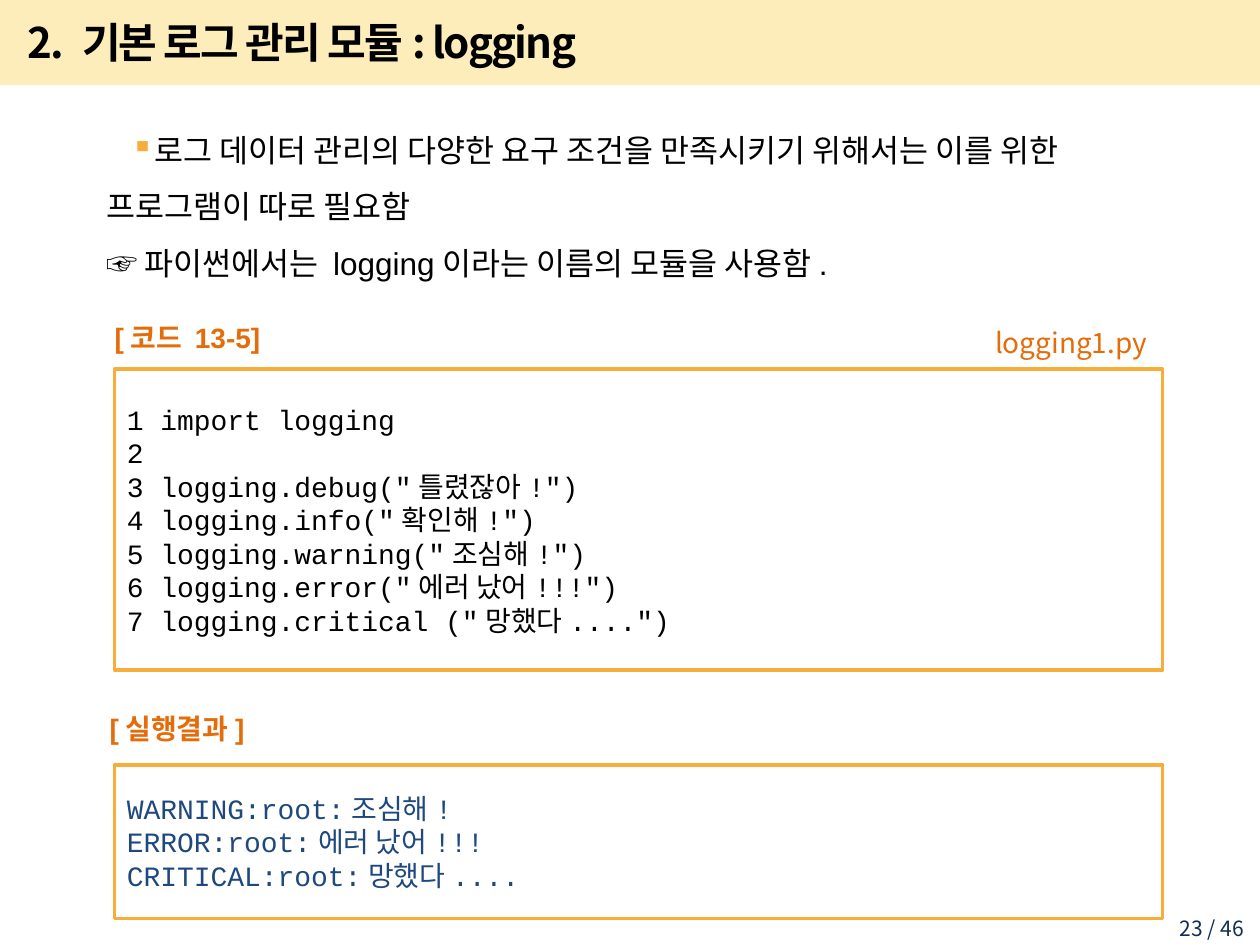
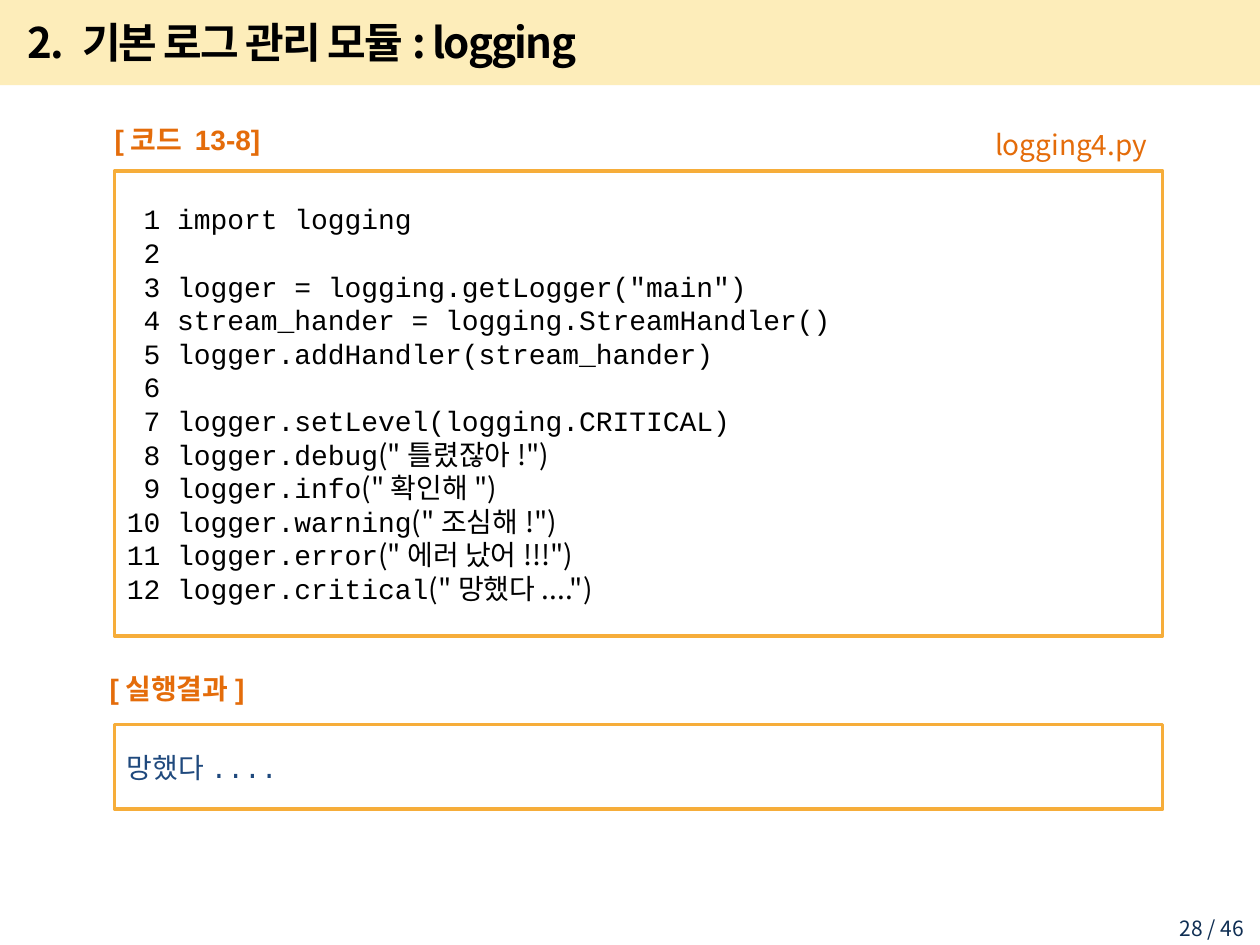
from lxml import etree
from pptx import Presentation
from pptx.dml.color import RGBColor
from pptx.enum.shapes import MSO_SHAPE
from pptx.enum.text import MSO_ANCHOR, MSO_AUTO_SIZE, PP_ALIGN
from pptx.oxml.ns import qn
from pptx.util import Cm, Pt

RECT = MSO_SHAPE.RECTANGLE
TOP, MIDDLE = MSO_ANCHOR.TOP, MSO_ANCHOR.MIDDLE
LEFT, RIGHT = PP_ALIGN.LEFT, PP_ALIGN.RIGHT
NO_FIT = MSO_AUTO_SIZE.NONE

SANS, ARIAL, MONO = "Noto Sans CJK KR", "Arial", "Courier New"
BLACK, BLUE, NAVY = "000000", "1F497D", "0F2E53"
ORANGE, AMBER, BAND = "E46C0A", "F6AD3A", "FABE00"

TITLE = {"name": SANS, "size": Pt(24), "bold": True, "color": BLACK}
BODY = {"name": ARIAL, "size": Pt(18), "color": BLACK}
LABEL = {"name": ARIAL, "size": Pt(16), "bold": True, "color": ORANGE}
FILE = {"name": SANS, "size": Pt(16), "color": ORANGE}
CODE = {"name": MONO, "size": Pt(16), "color": BLACK}
RESULT = {"name": MONO, "size": Pt(16), "color": BLUE}
PAGE = {"name": SANS, "size": Pt(12), "color": NAVY}

BOX_LEFT, BOX_WIDTH = 2.31, 21.13
HEADING = "2. 기본 로그 관리 모듈: logging"
PAGES = 46


def rgb(color):
    """Turn a hex string into a colour."""
    return RGBColor.from_string(color)


def add_xml(parent, tag, **attrs):
    """Append a drawing element with the given attributes."""
    return etree.SubElement(parent, qn(tag), attrs)


def numbered(lines):
    """Put right-aligned line numbers in front of code lines."""
    width = len(str(len(lines)))
    result = []
    for n, line in enumerate(lines, 1):
        code, *text = line if isinstance(line, tuple) else (line,)
        result.append((f"{n:>{width}} {code}".rstrip(), *text))
    return result


class Deck:
    """Holds the presentation, the current slide and the shared style."""

    def __init__(self):
        """Start an empty 4:3 presentation."""
        self.prs = Presentation()
        self.prs.slide_width, self.prs.slide_height = Cm(25.4), Cm(19.05)
        self.s = None

    def add_run(self, p, text, style):
        """Add a formatted run to a paragraph."""
        r = p.add_run()
        r.text = text
        for key, value in style.items():
            if key == "color":
                r.font.color.rgb = rgb(value)
            else:
                setattr(r.font, key, value)
        add_xml(r.font._element, "a:ea", typeface=SANS)
        return r

    def fill_text(self, sp, lines, style, align=LEFT, anchor=MIDDLE):
        """Fill a shape with lines; later runs of a line use the sans font."""
        tf = sp.text_frame
        frame = {"word_wrap": True, "auto_size": NO_FIT, "vertical_anchor": anchor}
        for key, value in frame.items():
            setattr(tf, key, value)
        for i, line in enumerate(lines):
            p = tf.add_paragraph() if i else tf.paragraphs[0]
            p.alignment = align
            first, *rest = line if isinstance(line, tuple) else (line,)
            self.add_run(p, first, style)
            for text in rest:
                self.add_run(p, text, {**style, "name": SANS})
        return tf

    def text(self, x, y, w, h, lines, style, **place):
        """Add a text box."""
        sp = self.s.shapes.add_textbox(Cm(x), Cm(y), Cm(w), Cm(h))
        return self.fill_text(sp, lines, style, **place)

    def rect(self, x, y, w, h):
        """Add a plain rectangle."""
        sp = self.s.shapes.add_shape(RECT, Cm(x), Cm(y), Cm(w), Cm(h))
        sp.shadow.inherit = False
        return sp

    def slide(self, number):
        """Start a slide with band, title and page number."""
        self.s = self.prs.slides.add_slide(self.prs.slide_layouts[5])
        title = self.s.shapes.title
        title.left, title.top, title.width, title.height = Cm(0.3), Cm(0.18), Cm(21.62), Cm(1.32)
        self.fill_text(title, [HEADING], TITLE)
        r = title.text_frame.paragraphs[0].runs[0]
        r.font._element.set("spc", "-100")

        band = self.rect(0, 0, 25.4, 1.72)
        band.fill.solid()
        band.fill.fore_color.rgb = rgb(BAND)
        band.line.fill.background()
        add_xml(band._element.spPr.find(".//" + qn("a:srgbClr")), "a:alpha", val="27000")
        title._element.addprevious(band._element)
        self.text(22.99, 18.34, 2.34, 0.58, [f"{number} / {PAGES}"], PAGE, align=RIGHT, anchor=TOP)

    def intro(self, lines):
        """Add the bulleted introduction with its broken lines."""
        tf = self.text(0.89, 2.13, 23.24, 4, lines[:1], BODY, anchor=TOP)
        p = tf.paragraphs[0]
        for line in lines[1:]:
            p.add_line_break()
            self.add_run(p, line, BODY)
        pPr = p._p.get_or_add_pPr()
        pPr.set("marL", str(Cm(1)))
        pPr.set("indent", str(Cm(0.5)))
        add_xml(add_xml(pPr, "a:buClr"), "a:srgbClr", val=AMBER)
        add_xml(pPr, "a:buChar", char="▪")
        p.line_spacing = 1.5

    def frame(self, y, h, lines, style):
        """Add an outlined box of monospaced lines."""
        sp = self.rect(BOX_LEFT, y, BOX_WIDTH, h)
        sp.fill.background()
        sp.line.color.rgb = rgb(AMBER)
        sp.line.width = Pt(2)
        self.fill_text(sp, lines, style)

    def listing(self, y, h, label, file, lines):
        """Add a code box with its label and file name."""
        self.frame(y, h, numbered(lines), CODE)
        self.text(BOX_LEFT - 0.25, y - 1.27, 4, 1.27, [label], LABEL)
        self.text(18.3, y - 1, 5.07, 0.94, [file], FILE, align=RIGHT, anchor=TOP)

    def output(self, y, h, lines):
        """Add a result box with its label."""
        self.frame(y, h, lines, RESULT)
        self.text(BOX_LEFT - 0.35, y - 1.43, 4, 1.4, ["[실행결과]"], LABEL)


def main():
    """Build both slides and save them."""
    deck = Deck()

    deck.slide(23)
    deck.intro([
        "로그 데이터 관리의 다양한 요구 조건을 만족시키기 위해서는 이를 위한 프로그램이 따로 필요함",
        "☞ 파이썬에서는 logging이라는 이름의 모듈을 사용함.",
    ])
    deck.listing(7.44, 6.07, "[코드 13-5]", "logging1.py", [
        "import logging",
        "",
        'logging.debug("틀렸잖아!")',
        'logging.info("확인해!")',
        'logging.warning("조심해!")',
        'logging.error("에러 났어!!!")',
        'logging.critical ("망했다....")',
    ])
    deck.output(15.42, 3.1, [
        "WARNING:root:조심해!",
        "ERROR:root:에러 났어!!!",
        "CRITICAL:root:망했다....",
    ])

    deck.slide(28)
    deck.listing(3.45, 9.37, "[코드 13-8]", "logging4.py", [
        "import logging",
        "",
        'logger = logging.getLogger("main")',
        "stream_hander = logging.StreamHandler()",
        "logger.addHandler(stream_hander)",
        "",
        "logger.setLevel(logging.CRITICAL)",
        ("logger.debug", '("틀렸잖아!")'),
        ("logger.info", '("확인해")'),
        ("logger.warning", '("조심해!")'),
        ("logger.error", '("에러 났어!!!")'),
        ("logger.critical", '("망했다....")'),
    ])
    deck.output(14.61, 1.7, ["망했다...."])

    deck.prs.save("out.pptx")


if __name__ == "__main__":
    main()
